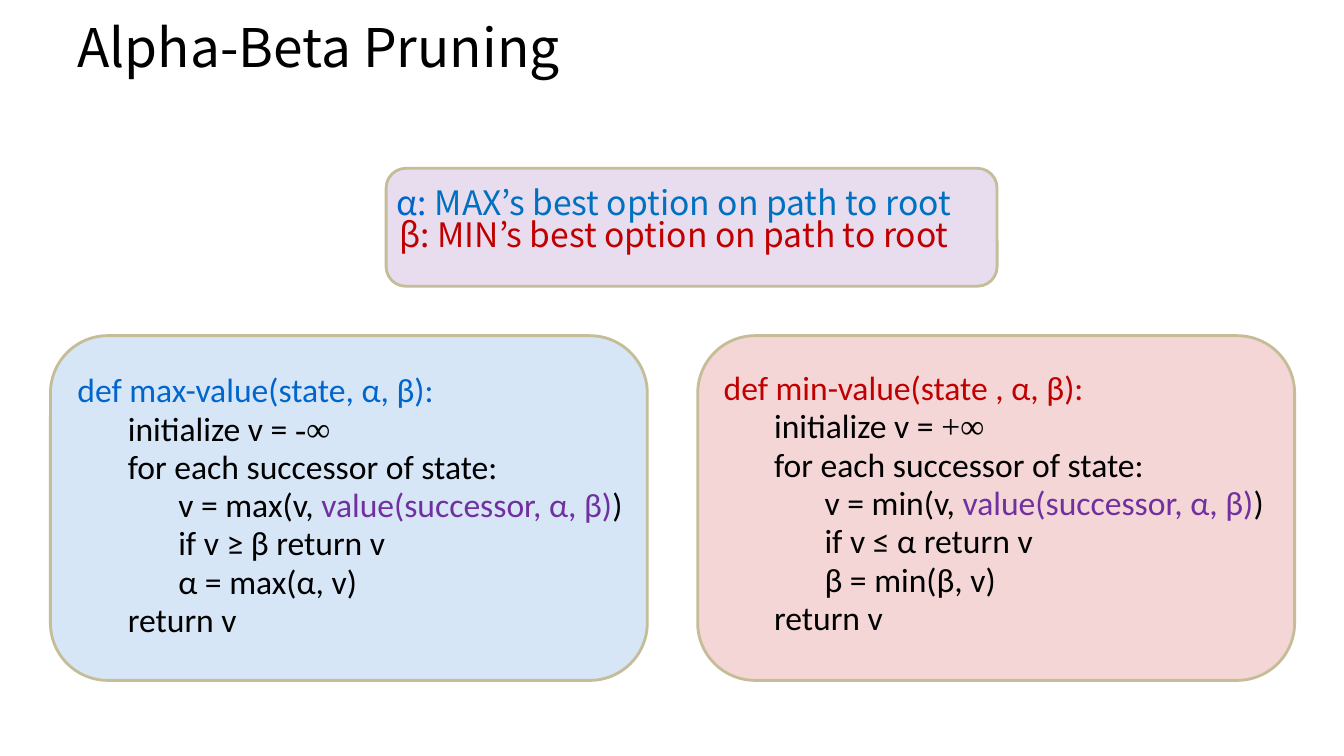
"""Build the Alpha-Beta Pruning slide with max-value and min-value pseudocode."""
from lxml import etree
from pptx import Presentation
from pptx.dml.color import RGBColor
from pptx.enum.shapes import MSO_SHAPE
from pptx.enum.text import MSO_ANCHOR, PP_ALIGN
from pptx.oxml.ns import qn
from pptx.util import Inches, Pt

ROUNDED = MSO_SHAPE.ROUNDED_RECTANGLE
MIDDLE = MSO_ANCHOR.MIDDLE
CENTER = PP_ALIGN.CENTER
SANS, CODE, MATH = "Noto Sans CJK KR", "Calibri", "Times New Roman"
COLORS = {
    "black": "000000", "max": "0066CC", "min": "C00000",
    "option": "0070C0", "value": "7030A0", "border": "C4BD97",
}


def add_panel(left, top, width, height, color):
    sp = s.shapes.add_shape(ROUNDED, Inches(left), Inches(top), Inches(width), Inches(height))
    sp.shadow.inherit = False
    sp.fill.solid()
    sp.fill.fore_color.rgb = RGBColor.from_string(COLORS[color])
    fill_color = sp.fill._xPr.find(qn("a:solidFill"))[0]
    etree.SubElement(fill_color, qn("a:alpha")).set("val", "16000")
    sp.line.color.rgb = RGBColor.from_string(COLORS["border"])
    sp.line.width = Pt(2)


def add_text(left, top, width, height, lines, size=24, spacing=0.8, before=0):
    tf = s.shapes.add_textbox(Inches(left), Inches(top), Inches(width), Inches(height)).text_frame
    tf.word_wrap = True
    for i, (indent, runs) in enumerate(lines):
        p = tf.paragraphs[0] if i == 0 else tf.add_paragraph()
        p.line_spacing = spacing
        p.space_before = Pt(before if i else 0)
        if indent:
            p._p.get_or_add_pPr().set("marL", str(Inches(indent)))
        for text, font, color in runs:
            r = p.add_run()
            r.text = text
            r.font.name = font
            r.font.size = Pt(size)
            r.font.color.rgb = RGBColor.from_string(COLORS[color])
    return tf


prs = Presentation()
prs.slide_width, prs.slide_height = Inches(13.33), Inches(7.5)
s = prs.slides.add_slide(prs.slide_layouts[6])

title = add_text(0.67, 0.02, 12, 0.87, [(0, [("Alpha-Beta Pruning", SANS, "black")])], 38, 1)
title.vertical_anchor = MIDDLE

functions = [
    ("min", 6.92, 7.08, 3.67, "state , α, β", "+∞", "v ≤ α", "β = min(β, v)"),
    ("max", 0.5, 0.67, 3.69, "state, α, β", "-∞", "v ≥ β", "α = max(α, v)"),
]
for name, panel_left, text_left, text_top, args, start, test, update in functions:
    add_panel(panel_left, 3.33, 5.92, 3.42, name)
    add_text(text_left, text_top, 5.83, 2.75, [
        (0, [(f"def {name}-value({args}):", CODE, name)]),
        (0.5, [("initialize v = ", CODE, "black"), (start, MATH, "black")]),
        (0.5, [("for each successor of state:", CODE, "black")]),
        (1, [(f"v = {name}(v, ", CODE, "black"),
             ("value(successor, α, β)", CODE, "value"),
             (")", CODE, "black")]),
        (1, [(f"if {test} return v", CODE, "black")]),
        (1, [(update, CODE, "black")]),
        (0.5, [("return v", CODE, "black")]),
    ], before=4.3)

add_panel(3.83, 1.67, 6.06, 1.17, "value")
legend = add_text(0, 1.83, 12.83, 1, [
    (0.54, [("α: ", SANS, "max"), ("MAX’s best option on path to root", SANS, "option")]),
    (0.54, [("β: MIN’s best option on path to root", SANS, "min")]),
])
for p in legend.paragraphs:
    p.alignment = CENTER

prs.save("out.pptx")
